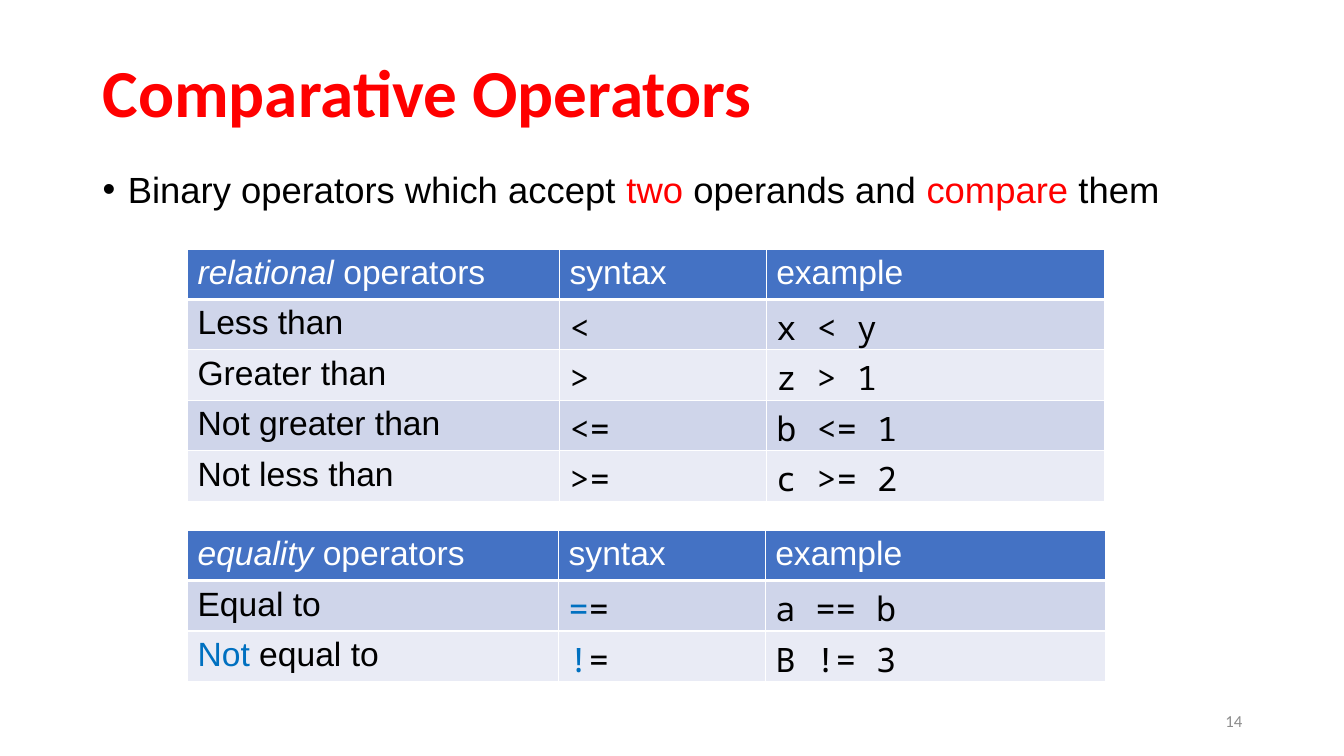
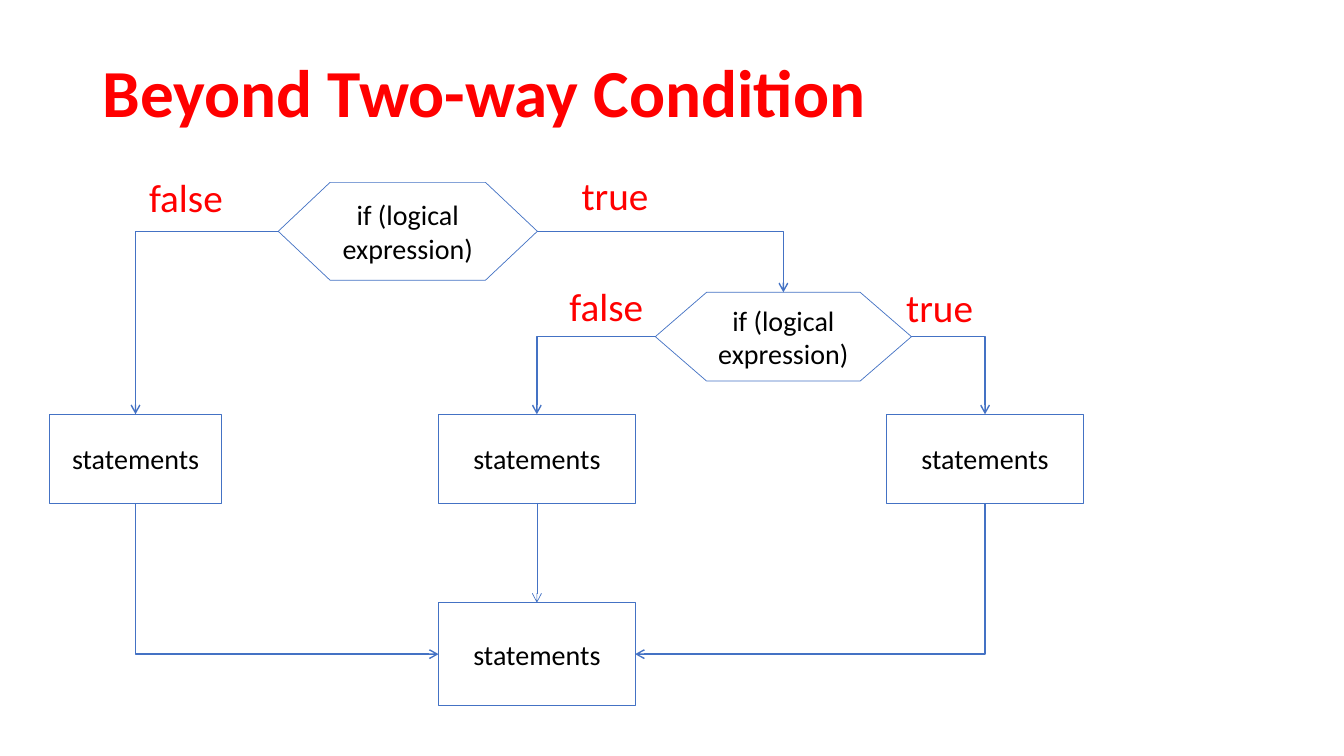
from pptx import Presentation
from pptx.dml.color import RGBColor
from pptx.enum.shapes import MSO_CONNECTOR, MSO_SHAPE
from pptx.enum.text import MSO_ANCHOR, PP_ALIGN
from pptx.oxml.ns import qn
from pptx.util import Inches, Pt
from lxml import etree

RED = RGBColor(0xFF, 0x00, 0x00)
BLUE = RGBColor(0x44, 0x72, 0xC4)
TINT = RGBColor(0x00, 0x70, 0xC0)
BLACK = RGBColor(0x00, 0x00, 0x00)
WHITE = RGBColor(0xFF, 0xFF, 0xFF)
GRAY = RGBColor(0x8C, 0x8C, 0x8C)
BANDS = (RGBColor(0xCF, 0xD5, 0xEA), RGBColor(0xE9, 0xEB, 0xF5))

SANS, HEAD, MONO = "Arial", "Calibri", "Noto Sans Mono"
RECT, HEX = MSO_SHAPE.RECTANGLE, MSO_SHAPE.FLOWCHART_PREPARATION
STRAIGHT, ELBOW = MSO_CONNECTOR.STRAIGHT, MSO_CONNECTOR.ELBOW
MIDDLE = MSO_ANCHOR.MIDDLE
LEFT, CENTER, RIGHT = PP_ALIGN.LEFT, PP_ALIGN.CENTER, PP_ALIGN.RIGHT
TOP, WEST, BOTTOM, EAST = range(4)
ITALIC = "italic"

# Content: a text is a list of parts, each plain or (words, mark)
POINT = ["Binary operators which accept ", ("two", RED), " operands and ",
         ("compare", RED), " them"]

# top, column widths, rows
TABLES = [
    (2.47, (3.69, 2.05, 3.36), [
        ([("relational", ITALIC), " operators"], ["syntax"], ["example"]),
        (["Less than"], ["<"], ["x < y"]),
        (["Greater than"], [">"], ["z > 1"]),
        (["Not greater than"], ["<="], ["b <= 1"]),
        (["Not less than"], [">="], ["c >= 2"]),
    ]),
    (5.26, (3.68, 2.05, 3.38), [
        ([("equality ", ITALIC), "operators"], ["syntax"], ["example"]),
        (["Equal to"], [("=", TINT), "="], ["a == b"]),
        ([("Not", TINT), " equal to"], [("!", TINT), "="], ["B != 3"]),
    ]),
]

TEST, STEP = "if (logical expression)", "statements"
# name: shape, text, place
NODES = {
    "first": (HEX, TEST, (2.76, 1.81, 2.57, 0.97)),
    "second": (HEX, TEST, (6.5, 2.9, 2.54, 0.88)),
    "left": (RECT, STEP, (0.49, 4.11, 1.71, 0.88)),
    "mid": (RECT, STEP, (4.35, 4.11, 1.95, 0.88)),
    "right": (RECT, STEP, (8.79, 4.11, 1.96, 0.88)),
    "join": (RECT, STEP, (4.35, 5.98, 1.95, 1.02)),
}
LINKS = [
    ("first", WEST, "left", TOP),
    ("first", EAST, "second", TOP),
    ("second", WEST, "mid", TOP),
    ("second", EAST, "right", TOP),
    ("left", BOTTOM, "join", WEST),
    ("mid", BOTTOM, "join", TOP),
    ("right", BOTTOM, "join", EAST),
]
LABELS = [
    ("false", (1.38, 1.67, 0.95, 0.56)),
    ("true", (5.67, 1.65, 0.88, 0.56)),
    ("false", (5.55, 2.75, 0.94, 0.57)),
    ("true", (8.89, 2.76, 0.87, 0.57)),
]


def inches(place):
    return [Inches(v) for v in place]


def write(par, parts, size, font, color, align=LEFT, bold=False):
    par.alignment = align
    face = par.font
    face.size, face.name, face.bold = Pt(size), font, bold
    face.color.rgb = color
    for part in parts:
        words, mark = (part, None) if isinstance(part, str) else part
        run = par.add_run()
        run.text = words
        if mark == ITALIC:
            run.font.italic = True
        elif mark is not None:
            run.font.color.rgb = mark


def add_text(slide, place, wrap=True, anchor=None):
    frame = slide.shapes.add_textbox(*inches(place)).text_frame
    frame.word_wrap = wrap
    if anchor is not None:
        frame.vertical_anchor = anchor
    return frame.paragraphs[0]


def add_slide(deck, title):
    slide = deck.slides.add_slide(deck.slide_layouts[6])
    par = add_text(slide, (0.92, 0.4, 11.5, 1.1), anchor=MIDDLE)
    par.line_spacing = 0.9
    write(par, [title], 48, HEAD, RED, bold=True)
    return slide


def add_bullet(par):
    props = par._p.get_or_add_pPr()
    props.set("marL", str(Inches(0.25)))
    props.set("indent", str(-Inches(0.25)))
    etree.SubElement(props, qn("a:buFont"), typeface=SANS)
    etree.SubElement(props, qn("a:buChar"), char="•")


def add_edges(cell, top, bottom):
    props = cell._tc.get_or_add_tcPr()
    for side, width in (("L", 1), ("R", 1), ("T", top), ("B", bottom)):
        line = etree.SubElement(props, qn("a:ln" + side), w=str(Pt(width)))
        fill = etree.SubElement(line, qn("a:solidFill"))
        etree.SubElement(fill, qn("a:srgbClr"), val=str(WHITE))


def add_grid(slide, top, widths, rows):
    place = inches((1.86, top, sum(widths), 0.41 * len(rows)))
    grid = slide.shapes.add_table(len(rows), len(widths), *place).table
    grid.first_row = grid.horz_banding = False
    for col, width in zip(grid.columns, widths):
        col.width = Inches(width)
    for r, row in enumerate(rows):
        grid.rows[r].height = Inches(0.41)
        for c, parts in enumerate(row):
            cell = grid.cell(r, c)
            add_edges(cell, 3 if r == 1 else 1, 3 if r == 0 else 1)
            cell.fill.solid()
            cell.fill.fore_color.rgb = BANDS[(r - 1) % 2] if r else BLUE
            write(cell.text_frame.paragraphs[0], parts, 24,
                  MONO if r and c else SANS, BLACK if r else WHITE)


def add_node(slide, kind, text, place):
    node = slide.shapes.add_shape(kind, *inches(place))
    node.shadow.inherit = False
    node.fill.solid()
    node.fill.fore_color.rgb = WHITE
    node.line.color.rgb = BLUE
    node.line.width = Pt(0.5)
    frame = node.text_frame
    frame.word_wrap = True
    frame.vertical_anchor = MIDDLE
    write(frame.paragraphs[0], [text], 20, HEAD, BLACK, CENTER)
    return node


def add_link(slide, start, out, end, into):
    straight = out == BOTTOM and into == TOP
    tip = "a:tailEnd"
    # An elbow leaves its first end sideways, so a downward one is drawn from its target
    if out == BOTTOM and not straight:
        start, out, end, into = end, into, start, out
        tip = "a:headEnd"
    link = slide.shapes.add_connector(STRAIGHT if straight else ELBOW, 0, 0, 0, 0)
    link.begin_connect(start, out)
    link.end_connect(end, into)
    link.line.color.rgb = BLUE
    link.line.width = Pt(0.5 if straight else 1)
    props = link._element.spPr
    if not straight:
        props.find(qn("a:prstGeom")).set("prst", "bentConnector2")
    etree.SubElement(props.find(qn("a:ln")), qn(tip), type="arrow")
    etree.SubElement(props, qn("a:effectLst"))


def main():
    deck = Presentation()
    deck.slide_width, deck.slide_height = Inches(13.33), Inches(7.5)

    # Operators
    slide = add_slide(deck, "Comparative Operators")
    par = add_text(slide, (0.92, 1.61, 12.23, 0.7))
    add_bullet(par)
    write(par, POINT, 26, SANS, BLACK)
    for table in TABLES:
        add_grid(slide, *table)
    par = add_text(slide, (9.42, 6.95, 3, 0.4), anchor=MIDDLE)
    write(par, ["14"], 12, HEAD, GRAY, RIGHT)

    # Flow chart
    slide = add_slide(deck, "Beyond Two-way Condition")
    nodes = {name: add_node(slide, *node) for name, node in NODES.items()}
    for start, out, end, into in LINKS:
        add_link(slide, nodes[start], out, nodes[end], into)
    for text, place in LABELS:
        write(add_text(slide, place, wrap=False), [text], 28, HEAD, RED)

    deck.save("out.pptx")


if __name__ == "__main__":
    main()
